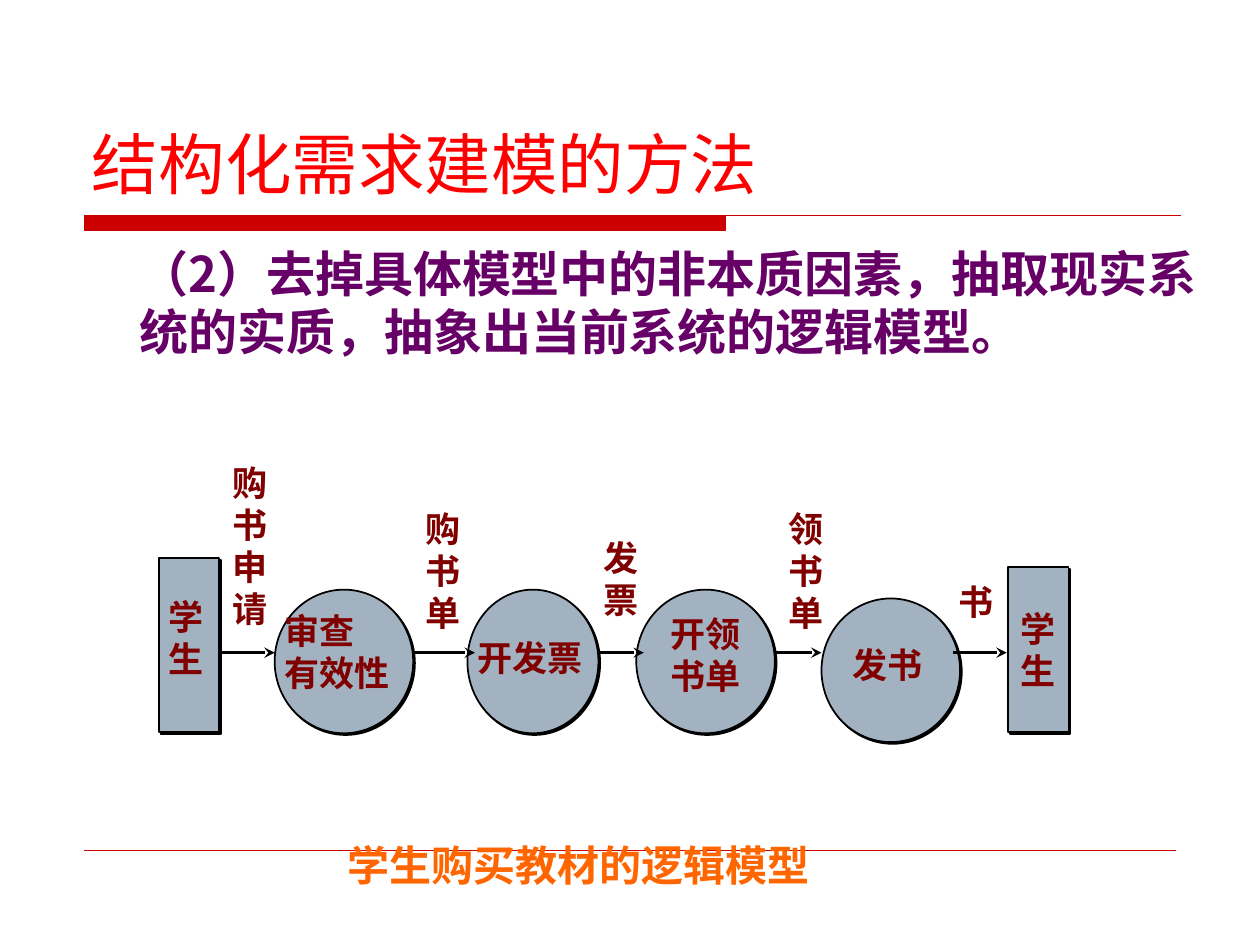
from dataclasses import dataclass

from lxml import etree
from pptx import Presentation
from pptx import util as u
from pptx.dml.color import RGBColor
from pptx.enum import shapes, text
from pptx.oxml.ns import qn

COLUMNS, ROWS = 100, 75


@dataclass(frozen=True)
class Theme:
    font: str = "Noto Sans CJK SC"
    title: str = "FF0000"
    rule: str = "CC0000"
    statement: str = "660066"
    caption: str = "FF6600"
    label: str = "800000"
    node: str = "A3B2C1"
    outline: str = "000000"
    title_size: int = 38
    statement_size: int = 28
    caption_size: int = 24
    label_size: int = 20


THEME = Theme()


@dataclass(frozen=True)
class Box:
    left: float
    top: float
    width: float
    height: float

    def inner(self, left, top, width, height):
        return Box(self.left + left, self.top + top, width, height)

    def emu(self):
        return [u.Inches(10 * n / COLUMNS) for n in
                (self.left, self.top, self.width, self.height)]


def write(frame, words, size, color, bold=True, before=0):
    frame.text = words
    for paragraph in frame.paragraphs:
        paragraph.alignment = text.PP_ALIGN.LEFT
        paragraph.space_before = u.Pt(before)
        for run in paragraph.runs:
            run.font.name = THEME.font
            run.font.size = u.Pt(size)
            run.font.bold = bold
            run.font.color.rgb = RGBColor.from_string(color)
            east_asian = etree.SubElement(run.font._element, qn("a:ea"))
            east_asian.set("typeface", THEME.font)


def add_text(slide, box, words, size, color, before=0):
    frame = slide.shapes.add_textbox(*box.emu()).text_frame
    frame.word_wrap = True
    write(frame, words, size, color, before=before)


def add_line(slide, start, end, color, width, arrow=False):
    points = [u.Inches(10 * n / COLUMNS) for n in (*start, *end)]
    line = slide.shapes.add_connector(shapes.MSO_CONNECTOR.STRAIGHT, *points)
    line.line.color.rgb = RGBColor.from_string(color)
    line.line.width = u.Pt(width)
    if arrow:
        etree.SubElement(line.line._get_or_add_ln(), qn("a:tailEnd"), type="stealth")
    etree.SubElement(line._element.spPr, qn("a:effectLst"))


def add_node(slide, box, kind):
    node = slide.shapes.add_shape(kind, *box.emu())
    node.fill.solid()
    node.fill.fore_color.rgb = RGBColor.from_string(THEME.node)
    node.line.color.rgb = RGBColor.from_string(THEME.outline)
    node.line.width = u.Pt(1)
    node.shadow.inherit = False
    effects = node._element.spPr.find(qn("a:effectLst"))
    shadow = etree.SubElement(effects, qn("a:outerShdw"), blurRad="0",
                              dist=str(u.Pt(1.4)), dir=str(45 * 60000),
                              algn="ctr", rotWithShape="0")
    etree.SubElement(shadow, qn("a:srgbClr"), val=THEME.outline)
    return node


def add_heading(slide, box):
    title = slide.shapes.title
    title.left, title.top, title.width, title.height = box.emu()
    title.text_frame.vertical_anchor = text.MSO_ANCHOR.BOTTOM
    write(title.text_frame, "结构化需求建模的方法", THEME.title_size, THEME.title, bold=False)


def add_rule(slide, box):
    left, top, width, height = box.emu()
    bar_right = left + round(width * 0.585)
    builder = slide.shapes.build_freeform(left, top)
    builder.add_line_segments([(bar_right, top), (bar_right, top + height),
                               (left, top + height)], close=True)
    builder.move_to(left, top)
    builder.add_line_segments([(left + width, top)], close=False)
    rule = builder.convert_to_shape()
    rule.fill.solid()
    rule.fill.fore_color.rgb = RGBColor.from_string(THEME.rule)
    rule.line.color.rgb = RGBColor.from_string(THEME.rule)
    rule.line.width = u.Pt(0.75)
    rule.shadow.inherit = False


def add_flow(slide, box):
    rectangle, oval = shapes.MSO_SHAPE.RECTANGLE, shapes.MSO_SHAPE.OVAL
    add_node(slide, box.inner(0.2, 8.2, 4.8, 13.8), rectangle)
    receiver = add_node(slide, box.inner(67.6, 8.9, 4.8, 13.1), rectangle)
    receiver.text_frame.word_wrap = False
    receiver.text_frame.vertical_anchor = text.MSO_ANCHOR.MIDDLE
    write(receiver.text_frame, "学\n生", THEME.label_size, THEME.label)

    for left, top, width in ((9.4, 10.7, 11), (24.7, 10.7, 10.4),
                             (38.1, 10.7, 11), (52.8, 11.4, 11)):
        add_node(slide, box.inner(left, top, width, 11.4), oval)

    arrow_row = box.top + 15.7
    for start, end in ((5.1, 9.4), (20.4, 25.3), (35.1, 38.7), (49.2, 52.8), (63.2, 67.5)):
        add_line(slide, (box.left + start, arrow_row), (box.left + end, arrow_row),
                 THEME.outline, 2, arrow=True)

    labels = (
        ("学\n生", 0, 10.7, 5.6), ("购\n书\n申\n请", 5.1, 0, 4.3),
        ("购书\n单", 20.4, 3.7, 4.9), ("发\n票", 34.5, 6, 4.8),
        ("领\n书\n单", 49.2, 3.7, 4.8), ("书", 62.7, 9.5, 4.8),
        ("审查\n有效性", 9.2, 11.8, 10.4), ("开发票", 24.5, 13.9, 11),
        ("开领\n书单", 39.8, 12, 7.6), ("发书", 54.3, 14.5, 7.9),
    )
    for words, left, top, width in labels:
        height = 1 + 3.35 * (words.count("\n") + 1)
        add_text(slide, box.inner(left, top, width, height), words,
                 THEME.label_size, THEME.label)


def main():
    deck = Presentation()
    deck.slide_width, deck.slide_height = u.Inches(10), u.Inches(10 * ROWS / COLUMNS)
    slide = deck.slides.add_slide(deck.slide_layouts[5])
    add_heading(slide, Box(6.3, 3.3, 87.5, 13.3))
    add_rule(slide, Box(6.7, 17.1, 87, 1.2))
    add_line(slide, (6.7, 67.5), (93.3, 67.5), THEME.rule, 0.25)
    add_text(slide, Box(10.1, 18.8, 86.9, 15),
             "（2）去掉具体模型中的非本质因素，抽取现实系统的实质，抽象出当前系统的逻辑模型。",
             THEME.statement_size, THEME.statement, before=0)
    add_text(slide, Box(26.6, 66.1, 39.9, 5),
             "学生购买教材的逻辑模型", THEME.caption_size, THEME.caption)
    add_flow(slide, Box(12.4, 36.1, 72.4, 22.8))
    deck.save("out.pptx")


if __name__ == "__main__":
    main()
